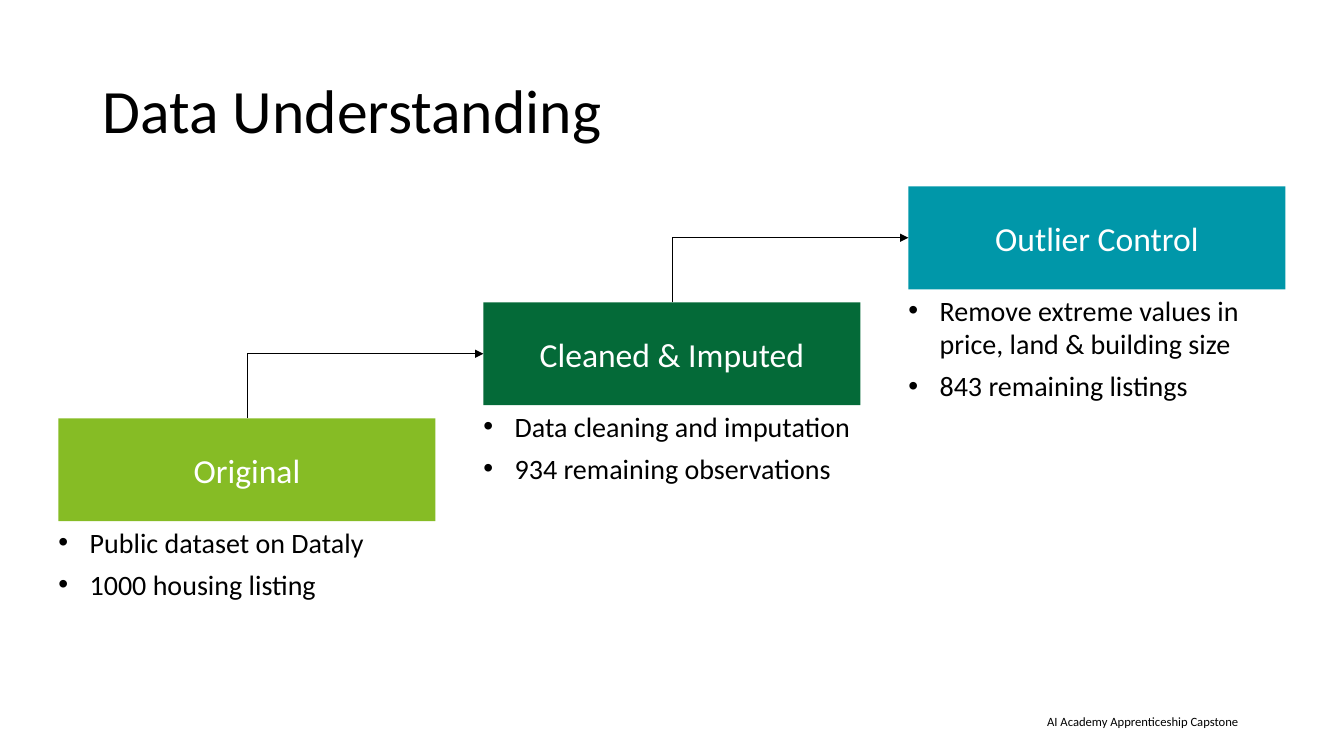
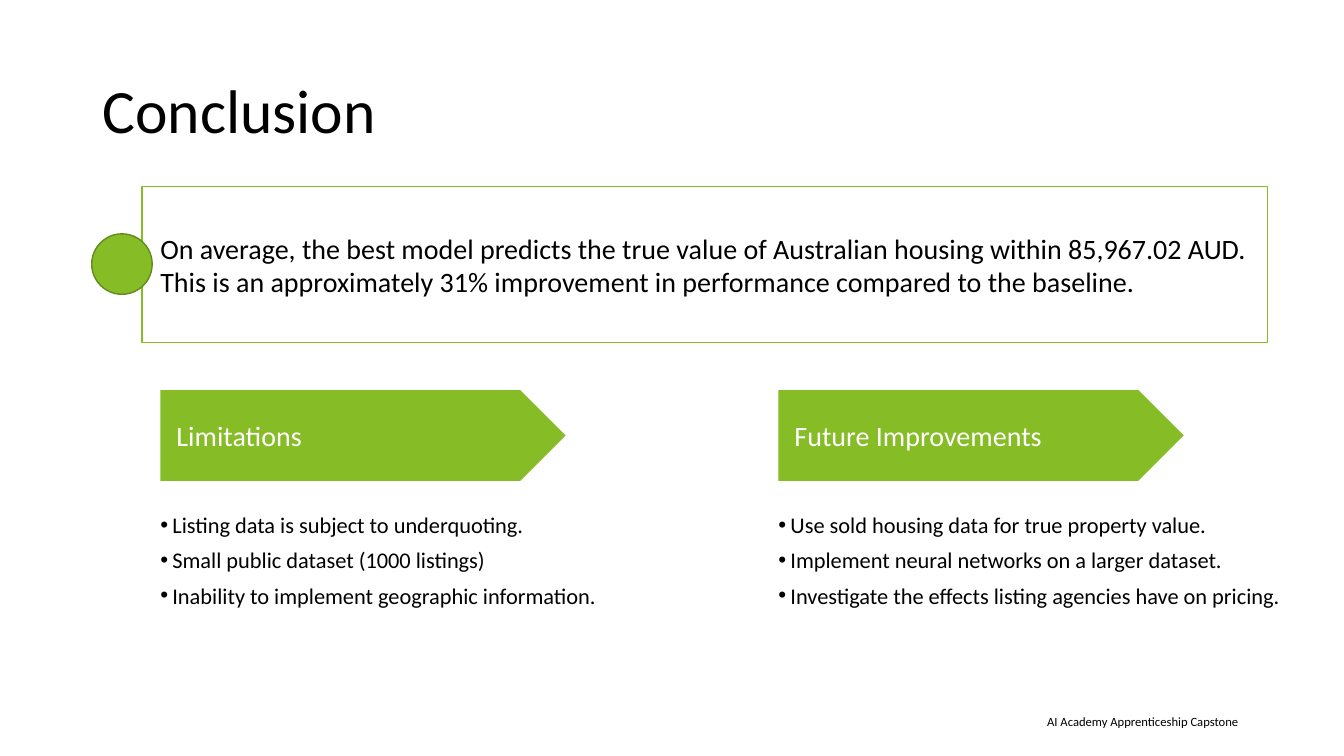
from dataclasses import dataclass

import pptx
import pptx.dml.color
import pptx.enum.shapes
import pptx.enum.text
import pptx.oxml.ns
import pptx.util
from lxml import etree

Inches = pptx.util.Inches
Pt = pptx.util.Pt
RGBColor = pptx.dml.color.RGBColor
Shapes = pptx.enum.shapes.MSO_SHAPE
Align = pptx.enum.text.PP_ALIGN
Anchor = pptx.enum.text.MSO_ANCHOR
qn = pptx.oxml.ns.qn

BLACK = RGBColor(0x00, 0x00, 0x00)
WHITE = RGBColor(0xFF, 0xFF, 0xFF)
LIME = RGBColor(0x86, 0xBC, 0x25)
LIME_EDGE = RGBColor(0x63, 0x8B, 0x1B)
FOREST = RGBColor(0x04, 0x6A, 0x38)
TEAL = RGBColor(0x00, 0x97, 0xA9)

FONT = "Calibri"
FOOTER = "AI Academy Apprenticeship Capstone"


@dataclass(frozen=True)
class Area:
    left: float
    top: float
    width: float
    height: float

    def lengths(self) -> tuple:
        return tuple(Inches(v) for v in (self.left, self.top, self.width, self.height))


@dataclass(frozen=True)
class TextStyle:
    size: float
    color: RGBColor = BLACK
    align: Align = Align.LEFT
    anchor: Anchor = Anchor.TOP
    insets: tuple = (0, 0, 0, 0)
    line_spacing: float = 1.0
    bullet_indent: float = 0


@dataclass(frozen=True)
class Topic:
    heading: str
    points: tuple
    color: RGBColor = LIME


TITLE = TextStyle(44, anchor=Anchor.MIDDLE, insets=(0.1, 0.05, 0.1, 0.05), line_spacing=0.9)
FOOTER_STYLE = TextStyle(9, align=Align.RIGHT)
STEP_HEADING = TextStyle(24, WHITE, Align.CENTER, Anchor.MIDDLE, (0.1, 0.1, 0.1, 0.1))
STEP_POINTS = TextStyle(20, bullet_indent=0.31)
SUMMARY = TextStyle(20, anchor=Anchor.MIDDLE, insets=(0.18, 0.06, 0.08, 0.06))
ARROW_HEADING = TextStyle(20, WHITE, anchor=Anchor.MIDDLE, insets=(0.16, 0.1, 0.1, 0.1))
ARROW_POINTS = TextStyle(16, bullet_indent=0.12)

STEPS = (
    Topic("Original", ("Public dataset on Dataly", "1000 housing listing")),
    Topic("Cleaned & Imputed",
          ("Data cleaning and imputation", "934 remaining observations"), FOREST),
    Topic("Outlier Control",
          ("Remove extreme values in price, land & building size",
           "843 remaining listings"), TEAL),
)
SUMMARY_LINES = (
    "On average, the best model predicts the true value of Australian housing "
    "within 85,967.02 AUD.",
    "This is an approximately 31% improvement in performance compared to the baseline.",
)
OUTLOOK = (
    Topic("Limitations",
          ("Listing data is subject to underquoting.",
           "Small public dataset (1000 listings)",
           "Inability to implement geographic information.")),
    Topic("Future Improvements",
          ("Use sold housing data for true property value.",
           "Implement neural networks on a larger dataset.",
           "Investigate the effects listing agencies have on pricing.")),
)


# Text
def write(shape, lines: tuple, style: TextStyle) -> None:
    frame = shape.text_frame
    frame.word_wrap = True
    frame.vertical_anchor = style.anchor
    (frame.margin_left, frame.margin_top,
     frame.margin_right, frame.margin_bottom) = (Inches(v) for v in style.insets)
    for index, line in enumerate(lines):
        para = frame.add_paragraph() if index else frame.paragraphs[0]
        para.alignment = style.align
        para.line_spacing = style.line_spacing
        if style.bullet_indent:
            add_bullet(para, style.bullet_indent)
            para.space_before = Pt(6 if index else 0)
        span = para.add_run()
        span.text = line
        span.font.name = FONT
        span.font.size = Pt(style.size)
        span.font.color.rgb = style.color


def add_bullet(para, indent: float) -> None:
    properties = para._p.get_or_add_pPr()
    properties.set("marL", str(Inches(indent)))
    properties.set("indent", str(-Inches(indent)))
    etree.SubElement(properties, qn("a:buFont")).set("typeface", "Arial")
    etree.SubElement(properties, qn("a:buChar")).set("char", "•")


def add_text(page, area: Area, lines: tuple, style: TextStyle) -> None:
    write(page.shapes.add_textbox(*area.lengths()), lines, style)


# Shapes
def add_block(page, kind: Shapes, area: Area, fill: RGBColor, edge: RGBColor | None = None):
    block = page.shapes.add_shape(kind, *area.lengths())
    block.shadow.inherit = False
    block.fill.solid()
    block.fill.fore_color.rgb = fill
    if edge is None:
        block.line.fill.background()
    else:
        block.line.color.rgb = edge
        block.line.width = Pt(1)
    return block


def add_step_arrow(page, start: Area, end: Area) -> None:
    """Run up from the top of one step, then right into the side of the next."""
    x1, y1 = start.left + start.width / 2, start.top
    x2, y2 = end.left, end.top + end.height / 2
    middle_x, middle_y = (x1 + x2) / 2, (y1 + y2) / 2
    half_run, half_rise = (x2 - x1) / 2, (y1 - y2) / 2
    # The bend is laid out on its side and then turned a quarter
    arrow = page.shapes.add_connector(
        pptx.enum.shapes.MSO_CONNECTOR.ELBOW,
        Inches(middle_x + half_rise), Inches(middle_y + half_run),
        Inches(middle_x - half_rise), Inches(middle_y - half_run))
    arrow.line.color.rgb = BLACK
    arrow.line.width = Pt(0.5)
    properties = arrow._element.spPr
    properties.find(qn("a:xfrm")).set("rot", str(90 * 60000))
    properties.find(qn("a:prstGeom")).set("prst", "bentConnector2")
    etree.SubElement(properties.find(qn("a:ln")), qn("a:tailEnd")).set("type", "triangle")
    etree.SubElement(properties, qn("a:effectLst"))


# Pages
def add_page(deck, title: str):
    page = deck.slides.add_slide(deck.slide_layouts[6])
    add_text(page, Area(6.93, 7.08, 5.35, 0.15), (FOOTER,), FOOTER_STYLE)
    add_text(page, Area(0.92, 0.4, 11.5, 1.45), (title,), TITLE)
    return page


def build_data_page(deck) -> None:
    page = add_page(deck, "Data Understanding")
    areas = [Area(0.58 + 4.215 * i, 4.15 - 1.15 * i, 3.74, 1.02) for i in range(len(STEPS))]
    for step, area in zip(STEPS, areas):
        block = add_block(page, Shapes.RECTANGLE, area, step.color)
        write(block, (step.heading,), STEP_HEADING)
        add_text(page, Area(area.left, area.top + 1.06, area.width, 1.09),
                 step.points, STEP_POINTS)
    for start, end in zip(areas, areas[1:]):
        add_step_arrow(page, start, end)


def build_conclusion_page(deck) -> None:
    page = add_page(deck, "Conclusion")
    summary = add_block(page, Shapes.RECTANGLE, Area(1.41, 1.85, 11.16, 1.55), WHITE, LIME)
    write(summary, SUMMARY_LINES, SUMMARY)
    add_block(page, Shapes.OVAL, Area(0.91, 2.32, 0.6, 0.6), LIME, LIME_EDGE)
    for index, topic in enumerate(OUTLOOK):
        left = 1.59 + 6.13 * index
        block = add_block(page, Shapes.PENTAGON, Area(left, 3.87, 4.02, 0.9), topic.color)
        write(block, (topic.heading,), ARROW_HEADING)
        add_text(page, Area(left, 5.07, 5.4, 1.55), topic.points, ARROW_POINTS)


def main() -> None:
    deck = pptx.Presentation()
    deck.slide_width, deck.slide_height = Inches(13.33), Inches(7.5)
    build_data_page(deck)
    build_conclusion_page(deck)
    deck.save("out.pptx")


if __name__ == "__main__":
    main()
